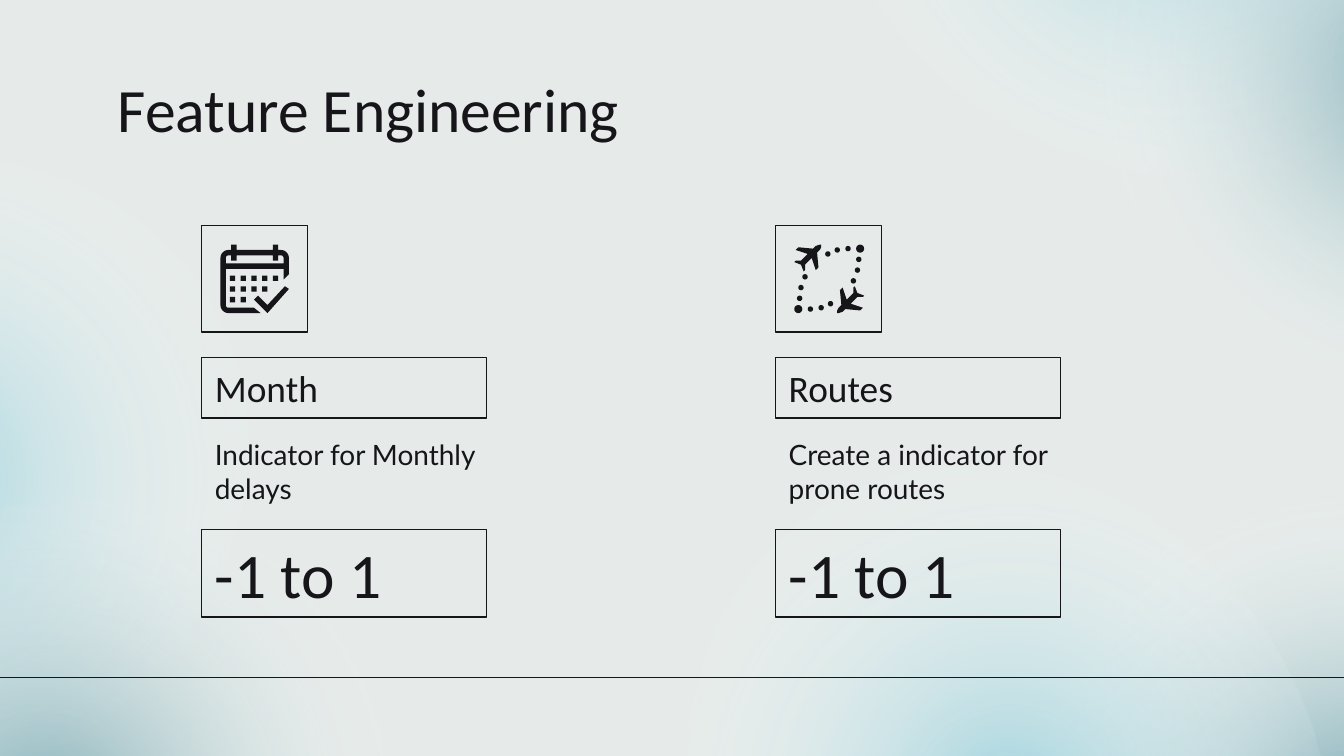
import math
from dataclasses import dataclass

from lxml import etree
from pptx import Presentation
from pptx import util as u
from pptx.dml.color import RGBColor
from pptx.enum import shapes, text
from pptx.oxml.ns import qn


@dataclass(frozen=True)
class Theme:
    ink: str = "161519"
    paper: str = "E6EBE9"
    teal: str = "4E909E"
    sky: str = "80C8D8"
    clear: str = "FFFFFF"
    heading_font: str = "Calibri"
    body_font: str = "Lato"
    title_size: int = 33
    value_size: int = 34
    label_size: int = 20
    body_size: int = 15
    rule: float = 0.75


def color(code):
    return RGBColor.from_string(code)


def write(box, content, *, size, font, ink):
    """Put one left-aligned paragraph in the box, centred vertically."""
    frame = box.text_frame
    frame.word_wrap = True
    frame.vertical_anchor = text.MSO_ANCHOR.MIDDLE
    frame.margin_left = frame.margin_right = u.Inches(0.1)
    frame.margin_top = frame.margin_bottom = u.Inches(0.1)
    para = frame.paragraphs[0]
    para.alignment = text.PP_ALIGN.LEFT
    span = para.add_run()
    span.text = content
    span.font.size = u.Pt(size)
    span.font.name = font
    span.font.color.rgb = color(ink)


def arc(x, y, radius, start, end, steps=6):
    """Points along a circle, with angles in degrees clockwise from the right."""
    angles = [math.radians(start + (end - start) * i / steps) for i in range(steps + 1)]
    return [(x + radius * math.cos(a), y + radius * math.sin(a)) for a in angles]


def dot(x, y, radius):
    return arc(x, y, radius, 0, 360, steps=16)


def square(x, y, side):
    return [(x, y), (x + side, y), (x + side, y + side), (x, y + side)]


# Icon outlines are measured in hundredths of an inch.
def calendar_outlines():
    frame = [
        (8, 0), (8, 4), *arc(6, 10, 6, 270, 180), *arc(6, 45, 6, 180, 90),
        (30, 51), (25, 47), *arc(6, 45, 2, 90, 180), (4, 18), (47, 18), (47, 26),
        (51, 22), *arc(45, 10, 6, 0, -90), (43, 4), (43, 0), (39, 0), (39, 4),
        (12, 4), (12, 0),
    ]
    header = [
        *arc(45, 10, 2, -90, 0), (47, 14), (4, 14), *arc(6, 10, 2, 180, 270),
        (8, 8), (8, 12), (12, 12), (12, 8), (39, 8), (39, 12), (43, 12), (43, 8),
    ]
    days = [square(7 + 8 * column, 23 + 8 * row, 4)
            for row, count in enumerate((5, 4, 2)) for column in range(count)]
    check = [(48, 31), (35, 45), (28, 38), (25, 41), (35, 51), (51, 33)]
    return [frame, header, *days, check]


def route_outlines():
    """One plane with its trail, then the same turned half round."""
    plane = [
        (19, 0), (16, 1), (14, 3), (3, 2), (1, 4), (10, 7), (5, 12), (1, 12),
        (0, 13), (5, 15), (7, 20), (8, 19), (8, 15), (13, 10), (16, 19), (18, 17),
        (17, 6), (19, 4), (20, 2), (20, 0),
    ]
    stops = [(25, 7), (32, 4), (40, 3), (48, 11), (47, 19), (44, 27)]
    half = [plane, dot(49, 3, 3), *(dot(x, y, 2) for x, y in stops)]
    turned = [[(52 - x, 51 - y) for x, y in outline] for outline in half]
    return half + turned


class Painter:
    def __init__(self, page, theme):
        self.page = page
        self.theme = theme
        page.background.fill.solid()
        page.background.fill.fore_color.rgb = color(theme.paper)

    def glow(self, left, top, angle, tint, opacity):
        """Soft ellipse that fades from its centre to nothing."""
        oval = self.page.shapes.add_shape(
            shapes.MSO_SHAPE.OVAL, u.Inches(left), u.Inches(top),
            u.Inches(5.22), u.Inches(4.6))
        oval.shadow.inherit = False
        oval.line.fill.background()
        oval.rotation = angle
        oval.fill.gradient()
        gradient = oval.element.spPr.find(qn("a:gradFill"))
        for child in list(gradient):
            gradient.remove(child)
        stops = etree.SubElement(gradient, qn("a:gsLst"))
        clear = self.theme.clear
        for place, code, alpha in ((0, tint, opacity), (58, clear, 0), (100, clear, 0)):
            stop = etree.SubElement(stops, qn("a:gs"), pos=str(place * 1000))
            shade = etree.SubElement(stop, qn("a:srgbClr"), val=code)
            etree.SubElement(shade, qn("a:alpha"), val=str(alpha * 1000))
        radial = etree.SubElement(gradient, qn("a:path"), path="circle")
        etree.SubElement(radial, qn("a:fillToRect"),
                         {side: "50000" for side in "ltrb"})

    def rule(self, left, right, y):
        line = self.page.shapes.add_connector(
            shapes.MSO_CONNECTOR.STRAIGHT, u.Inches(left), u.Inches(y),
            u.Inches(right), u.Inches(y))
        self.outline(line)
        etree.SubElement(line.element.spPr, qn("a:effectLst"))

    def outline(self, shape):
        shape.line.color.rgb = color(self.theme.ink)
        shape.line.width = u.Pt(self.theme.rule)

    def label(self, content, left, top, width, height, size, font=None, framed=False):
        box = self.page.shapes.add_textbox(
            u.Inches(left), u.Inches(top), u.Inches(width), u.Inches(height))
        if framed:
            self.outline(box)
        write(box, content, size=size, font=font or self.theme.heading_font,
              ink=self.theme.ink)

    def icon(self, outlines, left, top):
        """Square frame with a drawing inside it."""
        frame = self.page.shapes.add_shape(
            shapes.MSO_SHAPE.RECTANGLE, u.Inches(left), u.Inches(top),
            u.Inches(0.79), u.Inches(0.79))
        frame.shadow.inherit = False
        frame.fill.background()
        self.outline(frame)
        contours = [[(u.Inches(left + 0.14 + x / 100), u.Inches(top + 0.14 + y / 100))
                     for x, y in outline] for outline in outlines]
        builder = self.page.shapes.build_freeform(*contours[0][0], scale=1.0)
        builder.add_line_segments(contours[0][1:], close=True)
        for contour in contours[1:]:
            builder.move_to(*contour[0])
            builder.add_line_segments(contour[1:], close=True)
        drawing = builder.convert_to_shape()
        drawing.shadow.inherit = False
        drawing.fill.solid()
        drawing.fill.fore_color.rgb = color(self.theme.ink)
        drawing.line.fill.background()

    def feature(self, left, outlines, name, description, value):
        theme = self.theme
        self.icon(outlines, left, 1.68)
        self.label(name, left, 2.66, 2.12, 0.45, theme.label_size, framed=True)
        self.label(description, left, 3.19, 2.22, 0.63, theme.body_size, theme.body_font)
        self.label(value, left, 3.94, 2.12, 0.65, theme.value_size, framed=True)


def main():
    deck = Presentation()
    deck.slide_width = u.Inches(10)
    deck.slide_height = u.Inches(10 * 9 / 16)
    theme = Theme()
    painter = Painter(deck.slides.add_slide(deck.slide_layouts[6]), theme)
    for glow in (
        (7.53, 3.95, 237.1, theme.teal, 81),
        (4.89, 3.68, 237.1, theme.sky, 68),
        (6.1, -3.33, 202, theme.sky, 68),
        (8.07, -1.74, 202, theme.teal, 68),
        (-3.3, 1.26, 149, theme.sky, 68),
        (-2.29, 3.8, 149, theme.teal, 68),
    ):
        painter.glow(*glow)
    painter.rule(-0.05, 10.06, 5.04)
    painter.label("Feature Engineering", 0.78, 0.49, 8.44, 0.63, theme.title_size)
    painter.feature(1.5, calendar_outlines(), "Month",
                    "Indicator for Monthly delays", "-1 to 1")
    painter.feature(5.77, route_outlines(), "Routes",
                    "Create a indicator for prone routes", "-1 to 1")
    deck.save("out.pptx")


if __name__ == "__main__":
    main()
